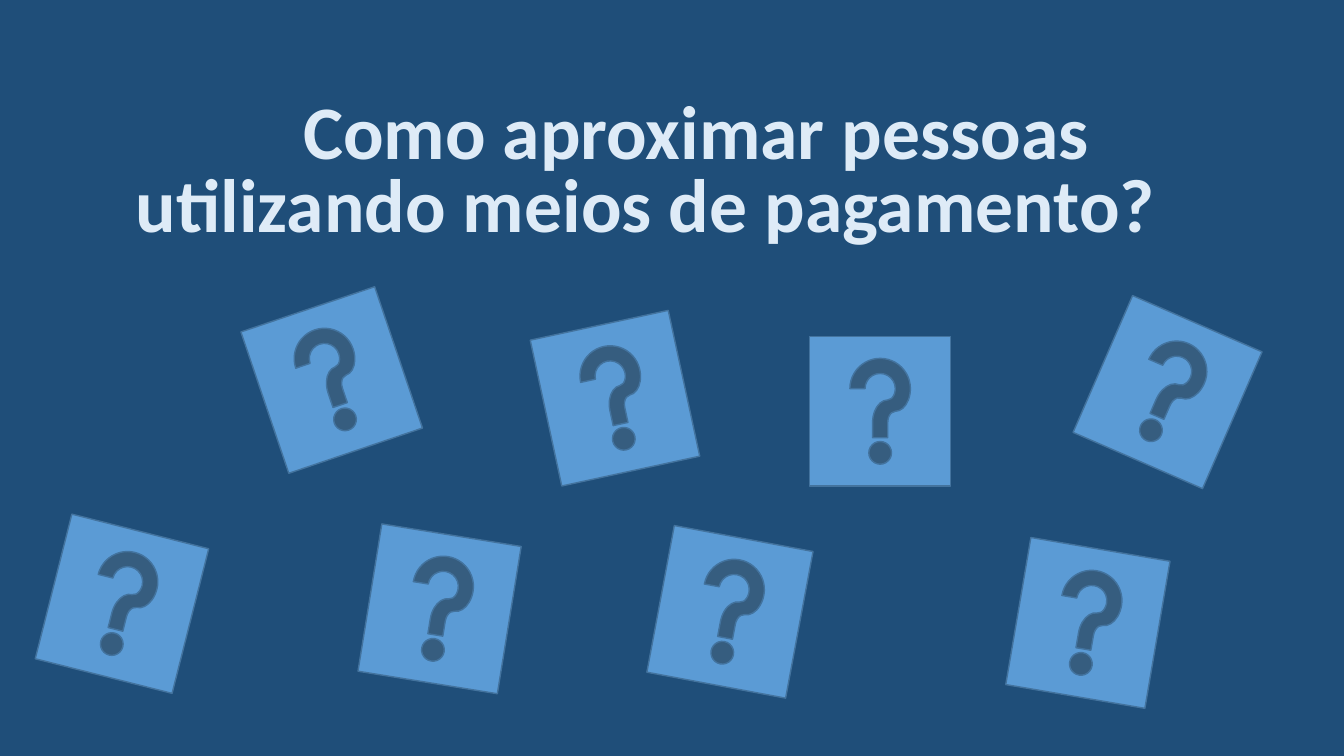
"""Build a question slide with a scatter of tilted help buttons."""
from lxml import etree
from pptx import Presentation
from pptx.dml.color import RGBColor
from pptx.enum.shapes import MSO_SHAPE
from pptx.enum.text import MSO_ANCHOR, MSO_AUTO_SIZE, PP_ALIGN
from pptx.oxml.ns import qn
from pptx.util import Inches, Pt

HELP = MSO_SHAPE.ACTION_BUTTON_HELP
TOP = MSO_ANCHOR.TOP
FIXED = MSO_AUTO_SIZE.NONE
CENTER = PP_ALIGN.CENTER

WIDE, HIGH = 1.4, 1.48
BUTTONS = [
    (0.51, 5.25, 14.2),
    (2.59, 3.03, 341.3),
    (3.66, 5.3, 9.2),
    (5.4, 3.21, 347.8),
    (6.54, 5.33, 10.6),
    (8.03, 3.34, 0),
    (10.88, 3.15, 23.5),
    (10.09, 5.44, 9.7),
]


def paint(color, value):
    color.rgb = RGBColor.from_string(value)


deck = Presentation()
deck.slide_width = Inches(13.33)
deck.slide_height = Inches(7.5)
slide = deck.slides.add_slide(deck.slide_layouts[1])
back = slide.background.fill
back.solid()
paint(back.fore_color, "1F4E79")

title = slide.shapes.title.element
title.getparent().remove(title)

body = slide.placeholders[1]
body.left, body.top = Inches(0.88), Inches(0.96)
body.width, body.height = Inches(11.05), Inches(2.25)
frame = body.text_frame
frame.word_wrap = True
frame.auto_size = FIXED
frame.vertical_anchor = TOP

ask = frame.paragraphs[0]
ask.text = "\tComo aproximar pessoas utilizando meios de pagamento?"
ask.alignment = CENTER
ask.line_spacing = 0.8
ask.space_before = Pt(10)
ask.font.name = "Calibri"
ask.font.size = Pt(54)
ask.font.bold = True
paint(ask.font.color, "DEEBF7")
props = ask._p.get_or_add_pPr()
for name, size in (("marL", 0), ("indent", 0), ("defTabSz", Inches(1))):
    props.set(name, str(int(size)))
none = etree.Element(qn("a:buNone"))
props.find(qn("a:spcBef")).addnext(none)

for left, top, turn in BUTTONS:
    button = slide.shapes.add_shape(
        HELP, Inches(left), Inches(top), Inches(WIDE), Inches(HIGH))
    button.rotation = turn
    button.shadow.inherit = False
    button.fill.solid()
    paint(button.fill.fore_color, "5B9BD5")
    paint(button.line.color, "43739E")
    button.line.width = Pt(1)

deck.save("out.pptx")
